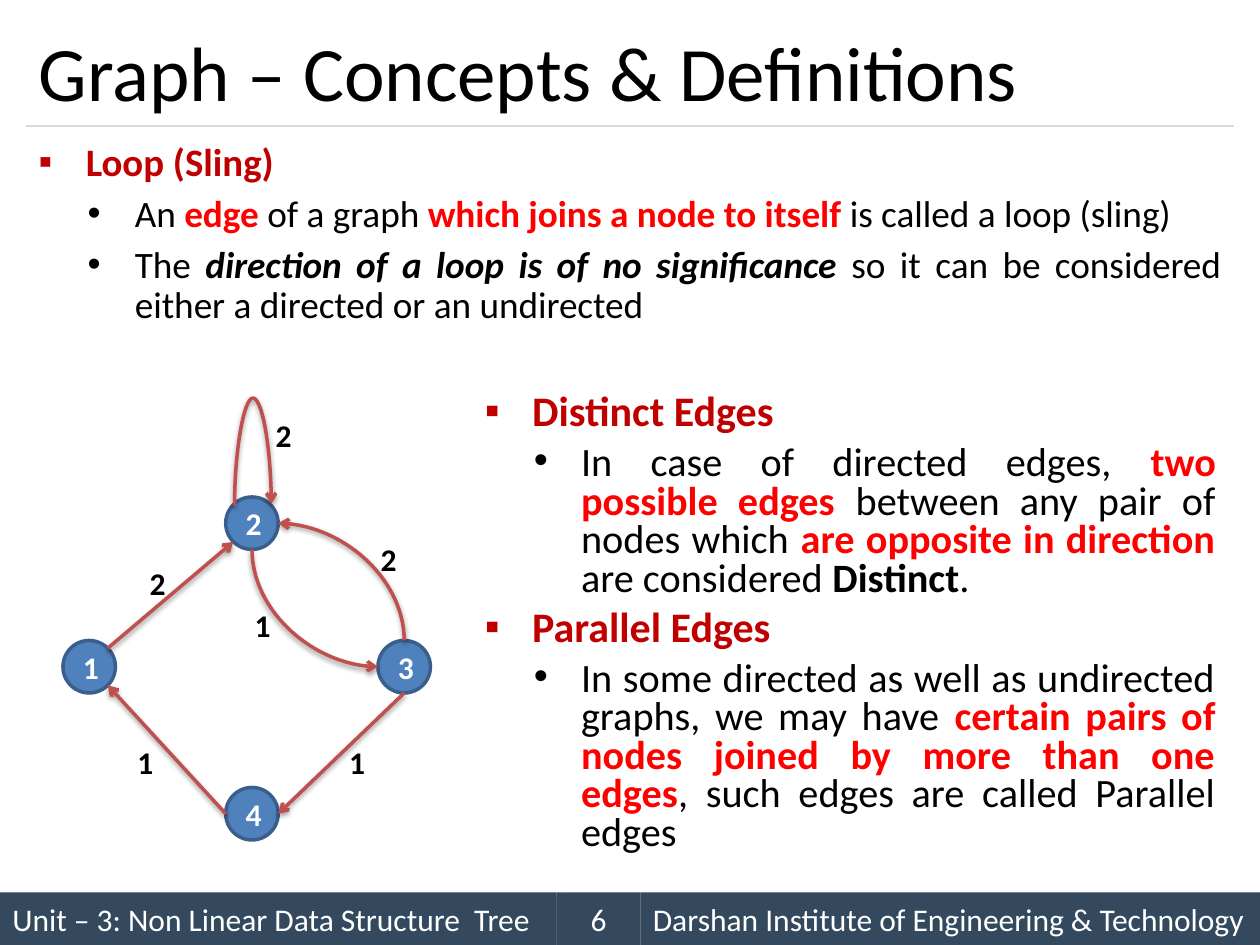
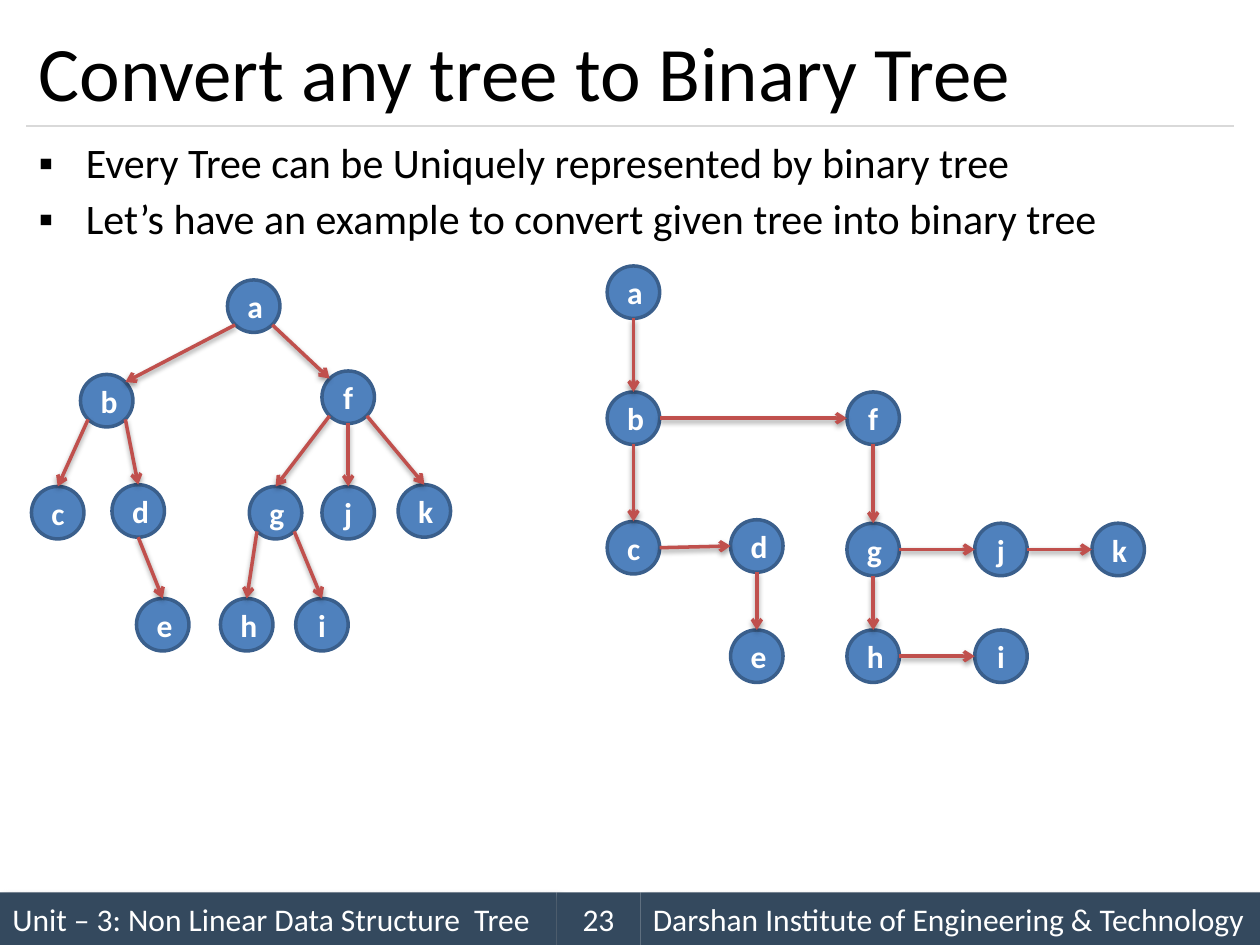
from lxml.etree import SubElement
from pptx import Presentation
from pptx.dml.color import RGBColor
from pptx.enum.shapes import MSO_CONNECTOR as Connector, MSO_SHAPE as Shape
from pptx.enum.text import MSO_ANCHOR as Anchor, MSO_AUTO_SIZE as AutoSize, PP_ALIGN as Align
from pptx.oxml.ns import qn
from pptx.util import Pt

FONT = "Calibri"
COLORS = {
    "text": "000000", "white": "FFFFFF", "heading": "C00000", "key": "FF0000",
    "footer": "34495E", "rule": "D9D9D9",
    "node": "4F81BD", "node_line": "3A5F8C", "edge": "C0504D",
}
# Run styles: colour, bold, italic
STYLES = {
    "plain": ("text", False, False),
    "heading": ("heading", True, False),
    "key": ("key", True, False),
    "strong": ("text", True, False),
    "emphasis": ("text", True, True),
}
# Bullet and left margin of each outline level
BULLETS = [("▪", 27), ("•", 55)]
HANGING = 27

# Nodes are circles; edges meet them at compass points
RADIUS = 15
DIAGONAL = 0.71
COMPASS = {
    "N": (0, -1), "E": (1, 0), "S": (0, 1), "W": (-1, 0),
    "NE": (DIAGONAL, -DIAGONAL), "SE": (DIAGONAL, DIAGONAL),
    "SW": (-DIAGONAL, DIAGONAL), "NW": (-DIAGONAL, -DIAGONAL),
}

# Graph with a loop and distinct edges
GRAPH_NODES = {"2": (144, 299), "1": (51, 381), "4": (144, 465), "3": (231, 381)}
GRAPH_EDGES = ["1 NE 2 SW", "4 W 1 SE", "3 S 4 E"]
EDGE_WEIGHTS = [("2", 78, 319), ("2", 210, 305), ("1", 138, 343),
                ("1", 192, 421), ("1", 71, 421), ("2", 150, 234)]

# General tree
TREE_NODES = {
    "a": (145, 175), "b": (61, 229), "f": (199, 227),
    "c": (33, 293), "d": (79, 292), "g": (157.5, 293), "j": (199, 293), "k": (242.5, 292),
    "e": (93, 357), "h": (141, 357), "i": (184, 357),
}
TREE_EDGES = ["b SW c N", "a SW b NE", "a SE f NW", "b SE d N", "f SW g N",
              "f S j N", "g SW h N", "d S e N", "f SE k N", "g SE i N"]

# Binary tree: children go down, siblings go right
BINARY_NODES = {
    "a": (362, 167), "b": (362, 239), "f": (499, 239),
    "c": (362, 313), "d": (432.5, 312), "g": (499, 314), "j": (572, 314), "k": (639, 314),
    "e": (432.5, 375), "h": (499, 375), "i": (572, 375),
}
BINARY_EDGES = ["b S c N", "a S b N", "b E f W", "c E d W", "f S g N", "g E j W",
                "g S h N", "d S e N", "j E k W", "h E i W"]

# Body text: (level, size, [(style, text), ...])
LOOP_TEXT = [
    (0, 22.2, [("heading", "Loop (Sling)")]),
    (1, 21.3, [("plain", "An "), ("key", "edge"), ("plain", " of a graph "),
               ("key", "which joins a node to itself "),
               ("plain", "is called a loop (sling)")]),
    (1, 21.3, [("plain", "The"),
               ("emphasis", " direction of a loop is of no significance"),
               ("plain", " so it can be considered either a directed or an undirected")]),
]
EDGES_TEXT = [
    (0, 24, [("heading", "Distinct Edges")]),
    (1, 23, [("plain", "In case of directed edges,"), ("key", " two possible edges"),
             ("plain", " between any pair of nodes which "),
             ("key", "are opposite in direction "),
             ("plain", "are considered "), ("strong", "Distinct"), ("plain", ".")]),
    (0, 24, [("heading", "Parallel Edges")]),
    (1, 23, [("plain", "In some directed as well as undirected graphs, we may have "),
             ("key", "certain pairs of nodes joined by more than one edges"),
             ("plain", ", such edges are called Parallel edges")]),
]
CONVERT_TEXT = [
    (0, 24, [("plain", "Every Tree can be Uniquely represented by binary tree")]),
    (0, 24, [("plain", "Let’s have an example to convert given tree into binary tree")]),
]


def color(name):
    return RGBColor.from_string(COLORS[name])


def format_run(run, size, color_name, bold=False, italic=False):
    font = run.font
    font.name, font.size = FONT, Pt(size)
    font.bold, font.italic = bold, italic
    font.color.rgb = color(color_name)


def set_text(shape, text, size, color_name, bold=False, align=Align.LEFT):
    shape.text_frame.text = text
    paragraph = shape.text_frame.paragraphs[0]
    paragraph.alignment = align
    format_run(paragraph.runs[0], size, color_name, bold)


def add_shadow(shape, opacity, blur, distance, angle):
    properties = shape._element.spPr
    effects = properties.find(qn("a:effectLst"))
    if effects is None:
        effects = SubElement(properties, qn("a:effectLst"))
    shadow = SubElement(effects, qn("a:outerShdw"), blurRad=str(Pt(blur)),
                        dist=str(Pt(distance)), dir=str(angle * 60000), rotWithShape="0")
    black = SubElement(shadow, qn("a:srgbClr"), val=COLORS["text"])
    SubElement(black, qn("a:alpha"), val=str(opacity * 1000))


def add_filled_shape(slide, kind, left, top, width, height, fill):
    shape = slide.shapes.add_shape(kind, Pt(left), Pt(top), Pt(width), Pt(height))
    shape.shadow.inherit = False
    shape.fill.solid()
    shape.fill.fore_color.rgb = color(fill)
    shape.line.fill.background()
    shape.text_frame.vertical_anchor = Anchor.MIDDLE
    return shape


def add_text_box(slide, left, top, width, height):
    box = slide.shapes.add_textbox(Pt(left), Pt(top), Pt(width), Pt(height))
    box.text_frame.word_wrap = True
    return box


def add_footer_band(slide, left, width, text, align=Align.LEFT, shadow=True):
    band = add_filled_shape(slide, Shape.RECTANGLE, left, 510, width, 30, "footer")
    if shadow:
        add_shadow(band, 40, 4, 3, 45)
    set_text(band, text, 18, "white", align=align)


def add_line(slide, kind, begin, end, color_name, width):
    line = slide.shapes.add_connector(kind, *(Pt(value) for value in (*begin, *end)))
    line.line.color.rgb = color(color_name)
    line.line.width = Pt(width)
    return line


def add_frame_slide(presentation, title, number):
    """Add a slide with the shared footer, title and rule."""
    slide = presentation.slides.add_slide(presentation.slide_layouts[6])
    add_footer_band(slide, 0, 318, "Unit – 3: Non Linear Data Structure  Tree")
    rule = add_line(slide, Connector.STRAIGHT, (15, 72), (705, 72), "rule", 0.75)
    SubElement(rule._element.spPr, qn("a:effectLst"))
    add_footer_band(slide, 366, 354, "Darshan Institute of Engineering & Technology")
    add_footer_band(slide, 318, 48, number, Align.CENTER, shadow=False)
    box = add_text_box(slide, 15, 9, 690, 63)
    box.text_frame.vertical_anchor = Anchor.MIDDLE
    set_text(box, title, 44, "text")
    return slide


def add_bullets(slide, left, top, width, height, items, line_spacing=0.9):
    frame = add_text_box(slide, left, top, width, height).text_frame
    for index, (level, size, runs) in enumerate(items):
        paragraph = frame.add_paragraph() if index else frame.paragraphs[0]
        paragraph.level = level
        paragraph.alignment = Align.JUSTIFY
        paragraph.line_spacing = line_spacing
        paragraph.space_before = Pt(6 if index else 0)
        bullet, margin = BULLETS[level]
        properties = paragraph._p.get_or_add_pPr()
        properties.set("marL", str(Pt(margin)))
        properties.set("indent", str(-Pt(HANGING)))
        SubElement(properties, qn("a:buFont"), typeface="Arial")
        SubElement(properties, qn("a:buChar"), char=bullet)
        for style, text in runs:
            run = paragraph.add_run()
            run.text = text
            format_run(run, size, *STYLES[style])


def add_edge(slide, begin, end, kind=Connector.STRAIGHT, arrow="tailEnd"):
    edge = add_line(slide, kind, begin, end, "edge", 2)
    SubElement(edge.line._get_or_add_ln(), qn(f"a:{arrow}"), type="arrow")
    add_shadow(edge, 38, 3.1, 1.6, 90)
    return edge


def add_quarter_curve(slide, begin, end, rotation=0):
    curve = add_edge(slide, begin, end, Connector.CURVE, "headEnd")
    curve._element.spPr.find(qn("a:prstGeom")).set("prst", "curvedConnector2")
    curve.rotation = rotation


def add_loop(slide, center_x, center_y, width, height):
    """Add a loop that rises above its node: a flat curve turned upright."""
    half = width / 2
    loop = add_edge(slide, (center_x + 0.5, center_y + half),
                    (center_x - 0.5, center_y - half), Connector.CURVE)
    loop.rotation = 90
    geometry = loop._element.spPr.find(qn("a:prstGeom"))
    adjustments = geometry.find(qn("a:avLst"))
    if adjustments is None:
        adjustments = SubElement(geometry, qn("a:avLst"))
    SubElement(adjustments, qn("a:gd"), name="adj1", fmla=f"val {height * 100000}")


def site(center, direction):
    return tuple(middle + RADIUS * step for middle, step in zip(center, COMPASS[direction]))


def add_network(slide, nodes, edges):
    for label, (x, y) in nodes.items():
        node = add_filled_shape(slide, Shape.OVAL, x - RADIUS, y - RADIUS,
                                2 * RADIUS, 2 * RADIUS, "node")
        node.line.color.rgb = color("node_line")
        node.line.width = Pt(2)
        set_text(node, label, 18, "white", True, Align.CENTER)
    for edge in edges:
        source, leaving, target, entering = edge.split()
        add_edge(slide, site(nodes[source], leaving), site(nodes[target], entering))


def add_weight(slide, text, left, top):
    box = add_text_box(slide, left, top, 24, 29)
    box.text_frame.word_wrap = False
    box.text_frame.auto_size = AutoSize.SHAPE_TO_FIT_TEXT
    set_text(box, text, 18, "text", True, Align.CENTER)


def add_definitions_slide(presentation):
    slide = add_frame_slide(presentation, "Graph – Concepts & Definitions", "6")
    add_bullets(slide, 15, 78, 690, 126, LOOP_TEXT)
    add_network(slide, GRAPH_NODES, GRAPH_EDGES)
    # Opposite edges between nodes 2 and 3
    two, three = GRAPH_NODES["2"], GRAPH_NODES["3"]
    add_quarter_curve(slide, site(two, "E"), site(three, "N"))
    add_quarter_curve(slide, site(two, "S"), site(three, "W"), rotation=180)
    add_loop(slide, two[0] + 0.5, 288.5, 21, 62)
    for weight in EDGE_WEIGHTS:
        add_weight(slide, *weight)
    add_bullets(slide, 270, 222, 432, 282, EDGES_TEXT, line_spacing=0.8)


def add_conversion_slide(presentation):
    slide = add_frame_slide(presentation, "Convert any tree to Binary Tree", "23")
    add_bullets(slide, 15, 78, 690, 78, CONVERT_TEXT)
    add_network(slide, TREE_NODES, TREE_EDGES)
    add_network(slide, BINARY_NODES, BINARY_EDGES)


def main():
    presentation = Presentation()
    presentation.slide_width, presentation.slide_height = Pt(720), Pt(540)
    add_definitions_slide(presentation)
    add_conversion_slide(presentation)
    presentation.save("out.pptx")


if __name__ == "__main__":
    main()
